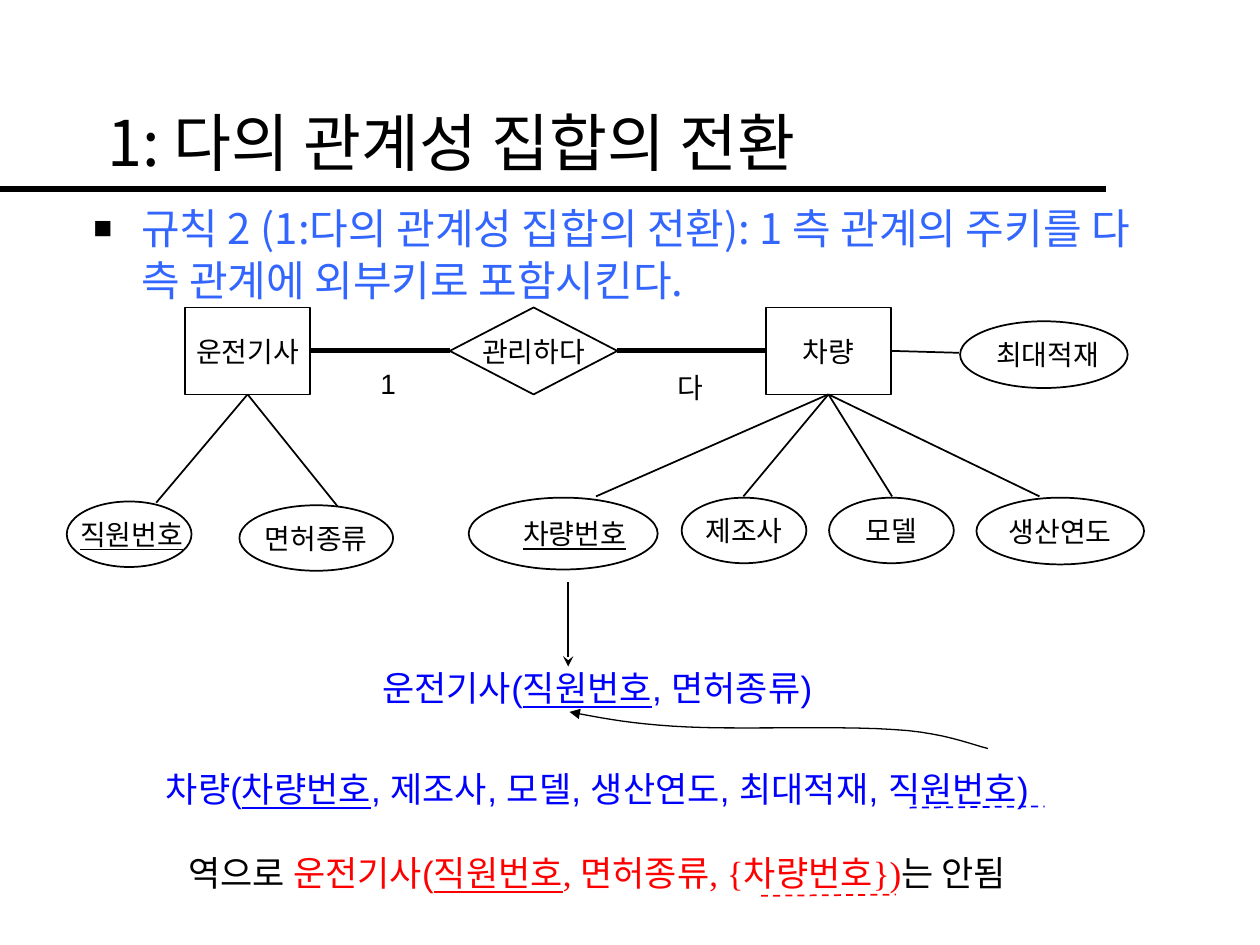
from lxml import etree
from pptx import Presentation
from pptx.dml.color import RGBColor
from pptx.enum.dml import MSO_LINE
from pptx.enum.shapes import MSO_CONNECTOR, MSO_SHAPE
from pptx.enum.text import MSO_ANCHOR, MSO_AUTO_SIZE, PP_ALIGN
from pptx.oxml.ns import qn
from pptx.util import Inches, Pt

OVAL, RECT, DIAMOND = MSO_SHAPE.OVAL, MSO_SHAPE.RECTANGLE, MSO_SHAPE.DIAMOND
STRAIGHT, DASH = MSO_CONNECTOR.STRAIGHT, MSO_LINE.DASH
LEFT, CENTER = PP_ALIGN.LEFT, PP_ALIGN.CENTER
MIDDLE, TOP = MSO_ANCHOR.MIDDLE, MSO_ANCHOR.TOP
NO_FIT = MSO_AUTO_SIZE.NONE
COLS, ROWS = 100, 75
SIDE_BOTTOM, SIDE_LEFT, SIDE_RIGHT = 2, 1, 3
BLACK, WHITE, BLUE, RED, SKY = "000000", "FFFFFF", "0000FF", "FF0000", "3366FF"
ARIAL, TIMES, KOREAN = "Arial", "Times New Roman", "Noto Sans CJK KR"


def color(value):
    return RGBColor.from_string(value)


def child(parent, tag, **attrs):
    return etree.SubElement(parent, qn(tag), attrs)


def add_run(p, text, size=16, font=ARIAL, fill=BLACK, underline=False):
    r = p.add_run()
    r.text = text
    r.font.size = Pt(size)
    r.font.name = font
    r.font.color.rgb = color(fill)
    if underline:
        r.font.underline = True
    child(r.font._element, "a:ea", typeface=KOREAN)
    return r


def bezier(p0, p1, p2, p3, steps=10):
    for i in range(1, steps + 1):
        t = i / steps
        u = 1 - t
        yield tuple(
            u**3 * a + 3 * u**2 * t * b + 3 * u * t**2 * c + t**3 * d
            for a, b, c, d in zip(p0, p1, p2, p3)
        )


class Page:
    def __init__(self, prs):
        self.s = prs.slides.add_slide(prs.slide_layouts[1])
        self.col = prs.slide_width / COLS
        self.row = prs.slide_height / ROWS

    def at(self, x, y):
        return round(x * self.col), round(y * self.row)

    def placeholder(self, sp, x, y, w, h, anchor):
        sp.left, sp.top = self.at(x, y)
        sp.width, sp.height = self.at(w, h)
        tf = sp.text_frame
        tf.auto_size = NO_FIT
        tf.vertical_anchor = anchor
        p = tf.paragraphs[0]
        p.alignment = LEFT
        p.space_before = Pt(0)
        return p

    def title(self, text, *box):
        p = self.placeholder(self.s.shapes.title, *box, MIDDLE)
        add_run(p, text, size=36, font=KOREAN)

    def body(self, text, *box):
        p = self.placeholder(self.s.placeholders[1], *box, TOP)
        pPr = p._p.get_or_add_pPr()
        indent = Inches(0.38)
        pPr.set("marL", str(indent))
        pPr.set("indent", str(-indent))
        child(child(pPr, "a:buClr"), "a:srgbClr", val=BLACK)
        child(pPr, "a:buSzPct", val="75000")
        child(pPr, "a:buChar", char="■")
        p.line_spacing = Pt(29.5)
        add_run(p, text, size=24, font=KOREAN, fill=SKY)

    def node(self, kind, text, x, y, w, h, underline=False, shift=0):
        sp = self.s.shapes.add_shape(kind, *self.at(x, y), *self.at(w, h))
        sp.shadow.inherit = False
        sp.fill.solid()
        sp.fill.fore_color.rgb = color(WHITE)
        sp.line.color.rgb = color(BLACK)
        sp.line.width = Pt(1)
        tf = sp.text_frame
        tf.word_wrap = False
        tf.margin_top = tf.margin_bottom = tf.margin_right = 0
        tf.margin_left = round(2 * shift * self.col)
        tf.vertical_anchor = MIDDLE
        p = tf.paragraphs[0]
        p.alignment = CENTER
        add_run(p, text, underline=underline)
        return sp

    def line(self, start, end, width=1, fill=BLACK, dash=None, tail=None,
             begin=None, finish=None):
        c = self.s.shapes.add_connector(STRAIGHT, *self.at(*start), *self.at(*end))
        c.line.color.rgb = color(fill)
        c.line.width = Pt(width)
        if dash:
            c.line.dash_style = dash
        if tail:
            child(c.line._get_or_add_ln(), "a:tailEnd", type=tail)
        child(c._element.spPr, "a:effectLst")
        if begin:
            c.begin_connect(*begin)
        if finish:
            c.end_connect(*finish)

    def curve(self, start, segments):
        points = [start]
        for segment in segments:
            points.extend(bezier(points[-1], *segment))
        fb = self.s.shapes.build_freeform(*self.at(*points[0]))
        fb.add_line_segments([self.at(*pt) for pt in points[1:]], close=False)
        sp = fb.convert_to_shape()
        sp.shadow.inherit = False
        sp.fill.background()
        sp.line.color.rgb = color(BLACK)
        sp.line.width = Pt(0.75)
        child(sp.line._get_or_add_ln(), "a:headEnd", type="triangle")

    def text(self, paragraphs, x, y, w, h, align=LEFT, leading=None):
        tf = self.s.shapes.add_textbox(*self.at(x, y), *self.at(w, h)).text_frame
        tf.word_wrap = False
        for i, (gap, runs) in enumerate(paragraphs):
            p = tf.add_paragraph() if i else tf.paragraphs[0]
            p.alignment = align
            p.space_before = Pt(gap)
            if leading:
                p.line_spacing = Pt(leading)
            for text, style in runs:
                add_run(p, text, **style)


def main():
    prs = Presentation()
    prs.slide_width, prs.slide_height = Inches(10), Inches(7.5)
    page = Page(prs)

    page.line((0, 15), (87.8, 15), width=4)
    page.title("1: 다의 관계성 집합의 전환", 7.5, 5, 85, 12.5)
    page.body("규칙 2 (1:다의 관계성 집합의 전환): 1 측 관계의 주키를 다 측 관계에 "
              "외부키로 포함시킨다.", 6.4, 15.5, 85, 45)

    driver = page.node(RECT, "운전기사", 14.7, 24.4, 9.9, 6.9)
    manages = page.node(DIAMOND, "관리하다", 35.7, 24.4, 13.3, 6.9)
    vehicle = page.node(RECT, "차량", 60.8, 24.4, 9.9, 6.9)
    for a, b in ((driver, manages), (manages, vehicle)):
        page.line((0, 0), (0, 0), width=3, begin=(a, SIDE_RIGHT), finish=(b, SIDE_LEFT))

    attributes = [
        (driver, "직원번호", (5.3, 39.8, 9.9, 5.2), (12.4, 39.9), True, 0.2),
        (driver, "면허종류", (19, 40.1, 12.2, 5.2), (26.8, 40.2), False, 0),
        (vehicle, "차량번호", (37.2, 39.5, 15, 5.7), (47.3, 39.4), True, 0.9),
        (vehicle, "제조사", (54.1, 39.5, 9.9, 5.2), (59, 39.4), False, 0),
        (vehicle, "모델", (65.8, 39.5, 9.9, 5.2), (70.8, 39.4), False, 0),
        (vehicle, "생산연도", (77.5, 39.5, 13.3, 5.3), (82.5, 39.4), False, 0),
    ]
    for entity, name, box, end, key, shift in attributes:
        page.node(OVAL, name, *box, underline=key, shift=shift)
        page.line((0, 0), end, begin=(entity, SIDE_BOTTOM))
    page.node(OVAL, "최대적재", 76.2, 25.5, 13.3, 5.3, shift=0.3)
    page.line((0, 0), (76.1, 28), begin=(vehicle, SIDE_RIGHT))

    page.text([(0, [("1", {})])], 29.2, 28.6, 3.3, 3.7)
    page.text([(0, [("다", {})])], 52.8, 28.9, 4.1, 3.7)

    blue = dict(size=20, fill=BLUE)
    red = dict(size=20, fill=RED)
    black = dict(size=20)
    key = dict(underline=True)
    page.text([
        (0, [("운전기사(", blue), ("직원번호", blue | key), (", 면허종류)", blue)]),
        (33.7, [("차량(", blue), ("차량번호", blue | key),
                (", 제조사, 모델, 생산연도, 최대적재, 직원번호)", blue)]),
        (24, [("역으로 ", black), ("운전기사(", red),
              ("직원번호", red | key | dict(font=TIMES)),
              (", 면허종류, {차량번호})", red | dict(font=TIMES)),
              ("는 안됨", black | dict(font=TIMES))]),
    ], 7.8, 52.4, 79.2, 19, align=CENTER, leading=24)

    page.line((45.1, 46.2), (45.1, 52.9), tail="stealth")
    page.line((72.2, 64.1), (82.9, 64), fill=BLUE, dash=DASH)
    page.line((60.4, 71.1), (71.1, 71), fill=RED, dash=DASH)
    page.curve((45.2, 56.5), [
        ((47.8, 57), (50.3, 57.5), (54.6, 57.7)),
        ((58.9, 57.9), (66.9, 57.6), (70.9, 57.9)),
        ((74.8, 58.1), (77.1, 59.1), (78.4, 59.4)),
    ])
    prs.save("out.pptx")


if __name__ == "__main__":
    main()
